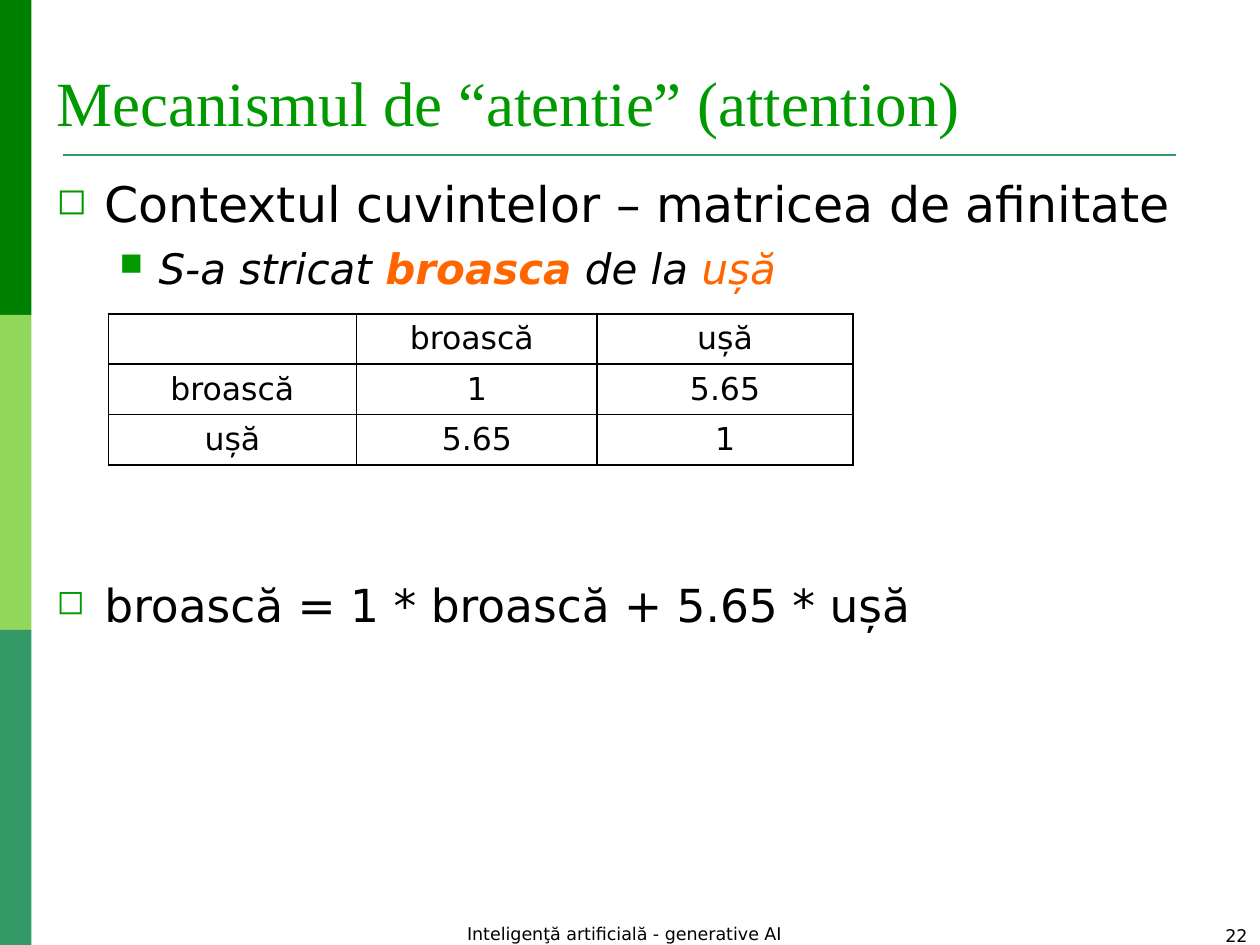
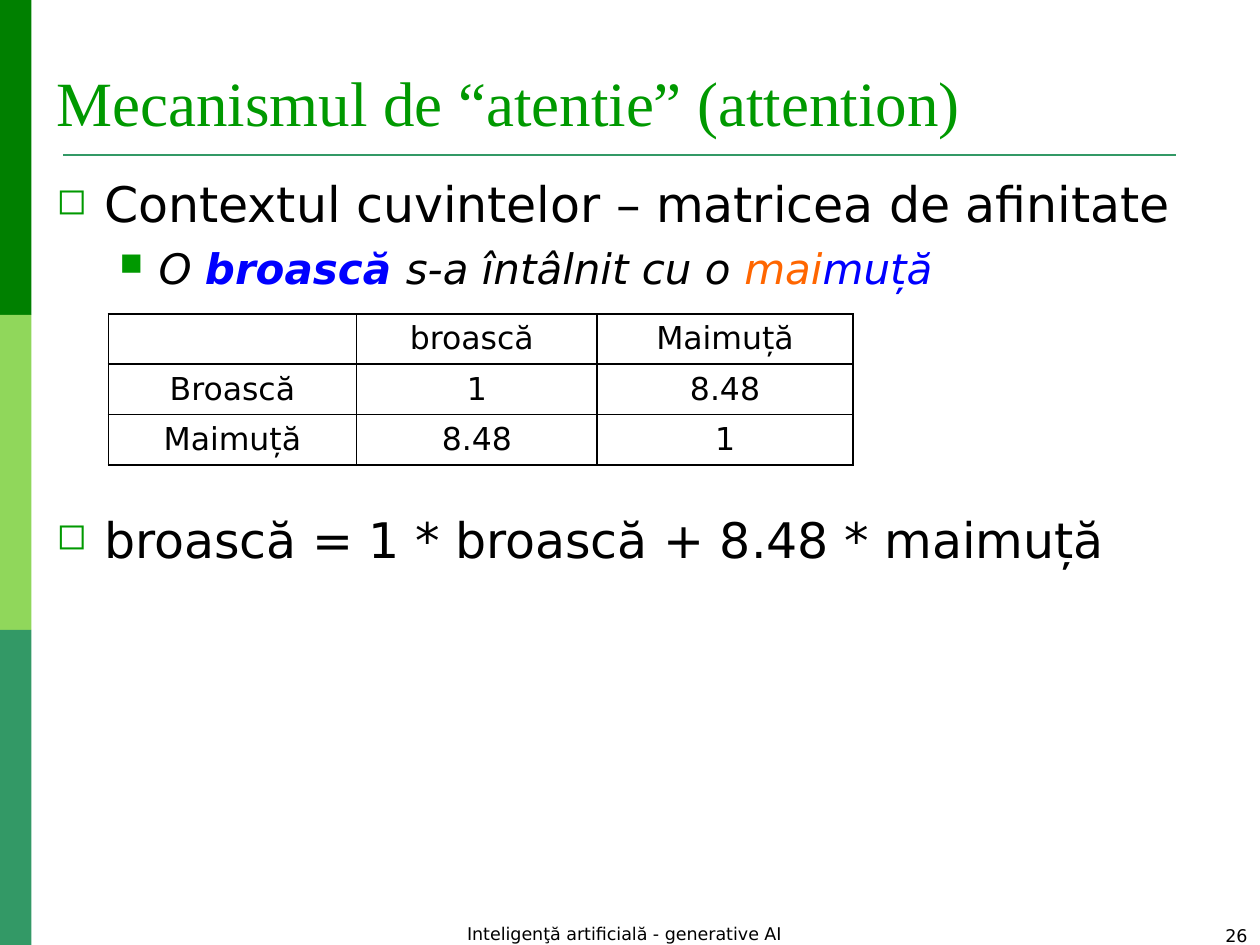
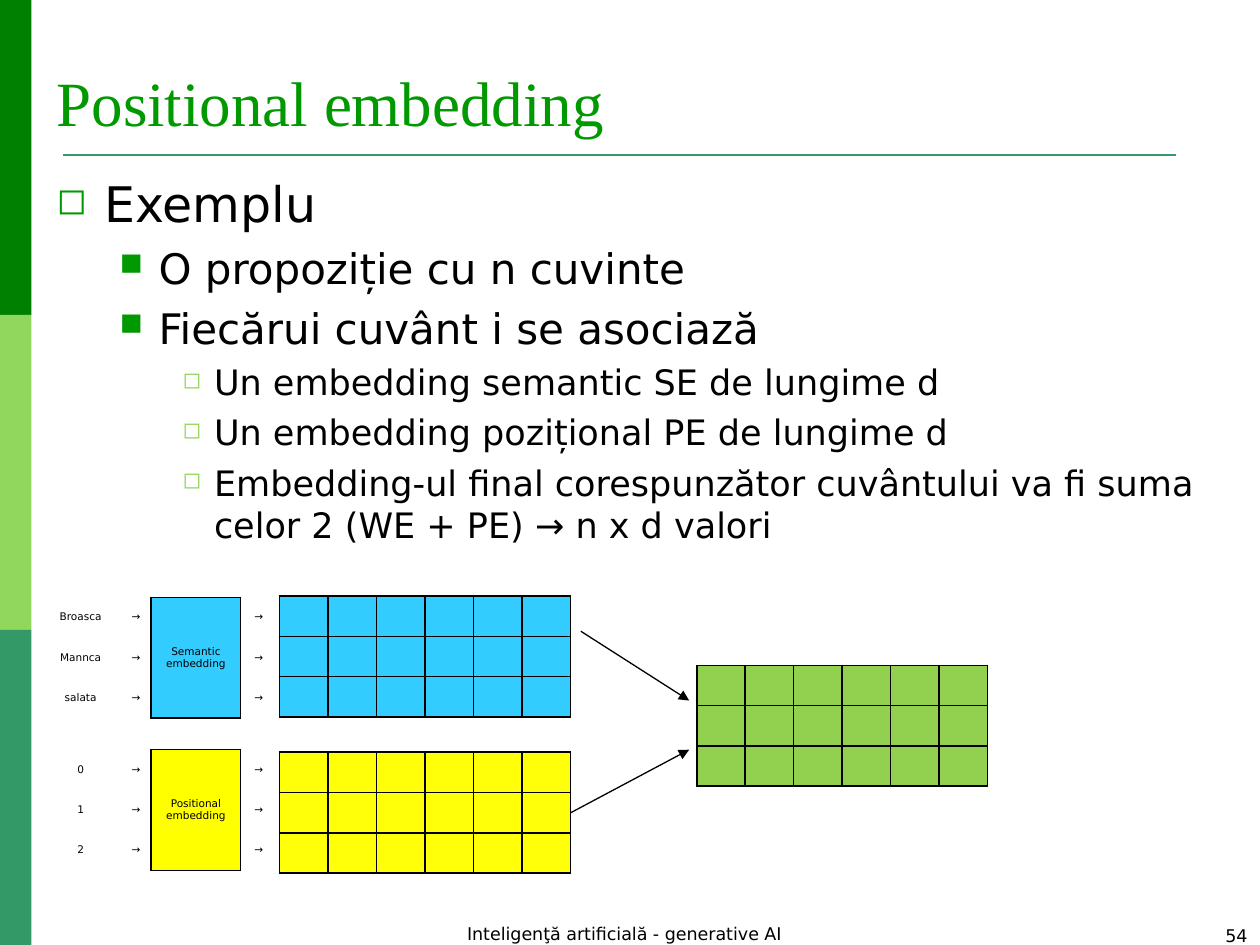
from dataclasses import dataclass
from typing import Optional

import lxml.etree
import pptx
import pptx.dml.color
import pptx.enum.shapes
import pptx.enum.text
import pptx.oxml.ns
import pptx.util

Inches = pptx.util.Inches
Pt = pptx.util.Pt
ALIGN = pptx.enum.text.PP_ALIGN
ANCHOR = pptx.enum.text.MSO_ANCHOR
qn = pptx.oxml.ns.qn

BODY_FONT = "DejaVu Sans"
TITLE_FONT = "Times New Roman"
BLACK, WHITE, GREEN = "000000", "FFFFFF", "009900"
ORANGE, BLUE, TEAL, LIME = "FF6600", "0000FF", "339966", "90D75B"
SKY, YELLOW, LEMON, SUM_GREEN = "33CCFF", "FFFF00", "FFFF0A", "92D050"
BANDS = ("008000", LIME, TEAL)
FOOTER = "Inteligenţă artificială - generative AI"
ATTENTION_TITLE = "Mecanismul de “atentie” (attention)"
MATRIX_HEADING = "Contextul cuvintelor – matricea de afinitate"
NO_STYLE = "{2D5ABB26-0587-4C30-8999-92F81FD0307C}"


@dataclass(frozen=True)
class Level:
    size: float
    left: float
    hang: float
    bullet: str
    color: str
    percent: int


@dataclass(frozen=True)
class Span:
    text: str
    color: str = BLACK
    bold: bool = False
    italic: bool = False


@dataclass(frozen=True)
class Item:
    level: int
    spans: tuple[Span, ...]
    size: Optional[float] = None
    before: Optional[float] = None


@dataclass(frozen=True)
class Attention:
    number: int
    sentence: tuple[Span, ...]
    columns: tuple[str, str]
    rows: tuple[str, str]
    affinity: str
    formula: str
    formula_size: float
    formula_gap: float


@dataclass(frozen=True)
class Encoder:
    top: float
    inputs: tuple[str, ...]
    name: str
    color: str


@dataclass(frozen=True)
class Grid:
    left: float
    top: float
    color: str


@dataclass(frozen=True)
class Arrow:
    x1: float
    y1: float
    x2: float
    y2: float


LEVELS = (
    Level(28, 0.38, 0.38, "◻", GREEN, 75),
    Level(24, 0.81, 0.31, "■", GREEN, 75),
    Level(20, 1.25, 0.25, "◻", LIME, 65),
)

ATTENTION_SLIDES = (
    Attention(
        22,
        (
            Span("S-a stricat ", italic=True),
            Span("broasca", ORANGE, True, True),
            Span(" de la ", italic=True),
            Span("ușă", ORANGE, italic=True),
        ),
        ("broască ", "ușă"),
        ("broască", "ușă"),
        "5.65",
        "broască = 1 * broască + 5.65 * ușă",
        26,
        162.5,
    ),
    Attention(
        26,
        (
            Span("O ", italic=True),
            Span("broască ", BLUE, True, True),
            Span("s-a întâlnit cu o ", italic=True),
            Span("mai", ORANGE, italic=True),
            Span("muță", BLUE, italic=True),
        ),
        ("broască ", "Maimuță"),
        ("Broască", "Maimuță"),
        "8.48",
        "broască = 1 * broască + 8.48 * maimuță",
        28,
        124,
    ),
)

EXAMPLE = (
    (0, "Exemplu"),
    (1, "O propoziție cu n cuvinte"),
    (1, "Fiecărui cuvânt i se asociază"),
    (2, "Un embedding semantic SE de lungime d"),
    (2, "Un embedding pozițional PE de lungime d"),
    (2, "Embedding-ul final corespunzător cuvântului va fi suma celor 2 (WE + PE) → n x d valori"),
)
ENCODERS = (
    Encoder(4.74, ("Broasca", "Mannca", "salata"), "Semantic embedding", SKY),
    Encoder(5.95, ("0", "1", "2"), "Positional embedding", YELLOW),
)
GRIDS = (Grid(2.22, 4.73, SKY), Grid(2.22, 5.97, LEMON), Grid(5.53, 5.28, SUM_GREEN))
ARROWS = (Arrow(4.61, 5.01, 5.47, 5.56), Arrow(4.53, 6.45, 5.47, 5.95))


def rgb(color: str):
    return pptx.dml.color.RGBColor.from_string(color)


def format_run(r, size: float, color: str = BLACK, font: str = BODY_FONT,
               bold: bool = False, italic: bool = False) -> None:
    r.font.size, r.font.name = Pt(size), font
    r.font.bold, r.font.italic = bold, italic
    r.font.color.rgb = rgb(color)


def add_text(s, text: str, left: float, top: float, width: float, height: float,
             size: float, color: str = BLACK, font: str = BODY_FONT,
             align=ALIGN.LEFT, anchor=ANCHOR.TOP) -> None:
    tf = s.shapes.add_textbox(Inches(left), Inches(top), Inches(width), Inches(height)).text_frame
    tf.word_wrap, tf.vertical_anchor = True, anchor
    tf.text = text
    p = tf.paragraphs[0]
    p.alignment = align
    format_run(p.runs[0], size, color, font)


def add_line(s, x1: float, y1: float, x2: float, y2: float, color: str,
             width: float, arrow: bool = False) -> None:
    line = s.shapes.add_connector(pptx.enum.shapes.MSO_CONNECTOR.STRAIGHT,
                                  Inches(x1), Inches(y1), Inches(x2), Inches(y2))
    line.line.color.rgb, line.line.width = rgb(color), Pt(width)
    sp_pr = line._element.spPr
    if arrow:
        lxml.etree.SubElement(sp_pr.find(qn("a:ln")), qn("a:tailEnd"), type="triangle")
    lxml.etree.SubElement(sp_pr, qn("a:effectLst"))


def add_slide(prs, title: str, number: int):
    s = prs.slides.add_slide(prs.slide_layouts[6])
    for i, color in enumerate(BANDS):
        band = s.shapes.add_shape(pptx.enum.shapes.MSO_SHAPE.RECTANGLE,
                                  0, Inches(2.5 * i), Inches(0.25), Inches(2.5))
        band.shadow.inherit = False
        band.fill.solid()
        band.fill.fore_color.rgb = rgb(color)
        band.line.fill.background()
    add_line(s, 0.5, 1.23, 9.33, 1.23, TEAL, 1.5)
    add_text(s, title, 0.35, 0.13, 9.45, 1.02, 36, GREEN, TITLE_FONT, anchor=ANCHOR.BOTTOM)
    add_text(s, FOOTER, 1.53, 7.28, 6.85, 0.27, 10, align=ALIGN.CENTER)
    add_text(s, str(number), 7.67, 7.29, 2.33, 0.21, 10, align=ALIGN.RIGHT)
    return s


def set_bullet(p, level: Level) -> None:
    p_pr = p._p.get_or_add_pPr()
    p_pr.set("marL", str(Inches(level.left)))
    p_pr.set("indent", str(-Inches(level.hang)))
    color = lxml.etree.SubElement(p_pr, qn("a:buClr"))
    lxml.etree.SubElement(color, qn("a:srgbClr"), val=level.color)
    lxml.etree.SubElement(p_pr, qn("a:buSzPct"), val=str(level.percent * 1000))
    lxml.etree.SubElement(p_pr, qn("a:buChar"), char=level.bullet)


def add_body(s, items: list[Item]) -> None:
    tf = s.shapes.add_textbox(Inches(0.35), Inches(1.31), Inches(9.45), Inches(5.98)).text_frame
    tf.word_wrap, tf.margin_top = True, Inches(0.07)
    for i, item in enumerate(items):
        level = LEVELS[item.level]
        size = item.size or level.size
        p = tf.paragraphs[0] if i == 0 else tf.add_paragraph()
        p.level = item.level
        set_bullet(p, level)
        if i:
            p.space_before = Pt(item.before or size * 0.23)
        for span in item.spans:
            r = p.add_run()
            r.text = span.text
            format_run(r, size, span.color, bold=span.bold, italic=span.italic)


def add_table(s, left: float, top: float, widths: list[float], row_height: float, rows: int):
    table = s.shapes.add_table(rows, len(widths), Inches(left), Inches(top),
                               Inches(sum(widths)), Inches(row_height * rows)).table
    table.first_row = table.horz_banding = False
    table._tbl.tblPr.find(qn("a:tableStyleId")).text = NO_STYLE
    for column, width in zip(table.columns, widths):
        column.width = Inches(width)
    for row in table.rows:
        row.height = Inches(row_height)
    return table


def set_cell(cell, text: str, size: float, fill: Optional[str] = None,
             sides: str = "LRTB", margin: float = 0.1) -> None:
    tc_pr = cell._tc.get_or_add_tcPr()
    for side in sides:
        ln = lxml.etree.SubElement(tc_pr, qn(f"a:ln{side}"), w=str(Pt(1)))
        solid = lxml.etree.SubElement(ln, qn("a:solidFill"))
        lxml.etree.SubElement(solid, qn("a:srgbClr"), val=BLACK)
    if fill:
        cell.fill.solid()
        cell.fill.fore_color.rgb = rgb(fill)
    else:
        cell.fill.background()
    cell.vertical_anchor = ANCHOR.MIDDLE
    cell.margin_left = cell.margin_right = Inches(margin)
    p = cell.text_frame.paragraphs[0]
    p.alignment = ALIGN.CENTER
    if text:
        p.text = text
        format_run(p.runs[0], size)
    else:
        lxml.etree.SubElement(p._p, qn("a:endParaRPr"), sz=str(int(size * 100)))


def add_attention(prs, slide: Attention) -> None:
    s = add_slide(prs, ATTENTION_TITLE, slide.number)
    add_body(s, [
        Item(0, (Span(MATRIX_HEADING),)),
        Item(1, slide.sentence),
        Item(0, (Span(slide.formula),), slide.formula_size, slide.formula_gap),
    ])
    matrix = (
        ("", *slide.columns),
        (slide.rows[0], "1", slide.affinity),
        (slide.rows[1], slide.affinity, "1"),
    )
    table = add_table(s, 0.86, 2.49, [1.97, 1.91, 2.03], 0.39, len(matrix))
    for i, row in enumerate(matrix):
        for j, value in enumerate(row):
            set_cell(table.cell(i, j), value, 18)


def add_encoder(s, encoder: Encoder) -> None:
    table = add_table(s, 0.32, encoder.top, [0.64, 0.24, 0.71, 0.29], 0.32, len(encoder.inputs))
    table.cell(0, 2).merge(table.cell(len(encoder.inputs) - 1, 2))
    for i, word in enumerate(encoder.inputs):
        set_cell(table.cell(i, 0), word, 6, sides="", margin=0.03)
        set_cell(table.cell(i, 1), "→", 6, sides="R", margin=0.03)
        set_cell(table.cell(i, 2), "" if i else encoder.name, 6, encoder.color)
        set_cell(table.cell(i, 3), "→", 6, WHITE, "L", 0.03)


def add_grid(s, grid: Grid) -> None:
    table = add_table(s, grid.left, grid.top, [2.31 / 6] * 6, 0.32, 3)
    for cell in table.iter_cells():
        set_cell(cell, "", 6, grid.color)


def add_positional(prs) -> None:
    s = add_slide(prs, "Positional embedding", 54)
    add_body(s, [Item(level, (Span(text),)) for level, text in EXAMPLE])
    for encoder in ENCODERS:
        add_encoder(s, encoder)
    for grid in GRIDS:
        add_grid(s, grid)
    for arrow in ARROWS:
        add_line(s, arrow.x1, arrow.y1, arrow.x2, arrow.y2, BLACK, 0.75, arrow=True)


def main() -> None:
    prs = pptx.Presentation()
    prs.slide_width, prs.slide_height = Inches(10), Inches(7.5)
    for slide in ATTENTION_SLIDES:
        add_attention(prs, slide)
    add_positional(prs)
    prs.save("out.pptx")


if __name__ == "__main__":
    main()
